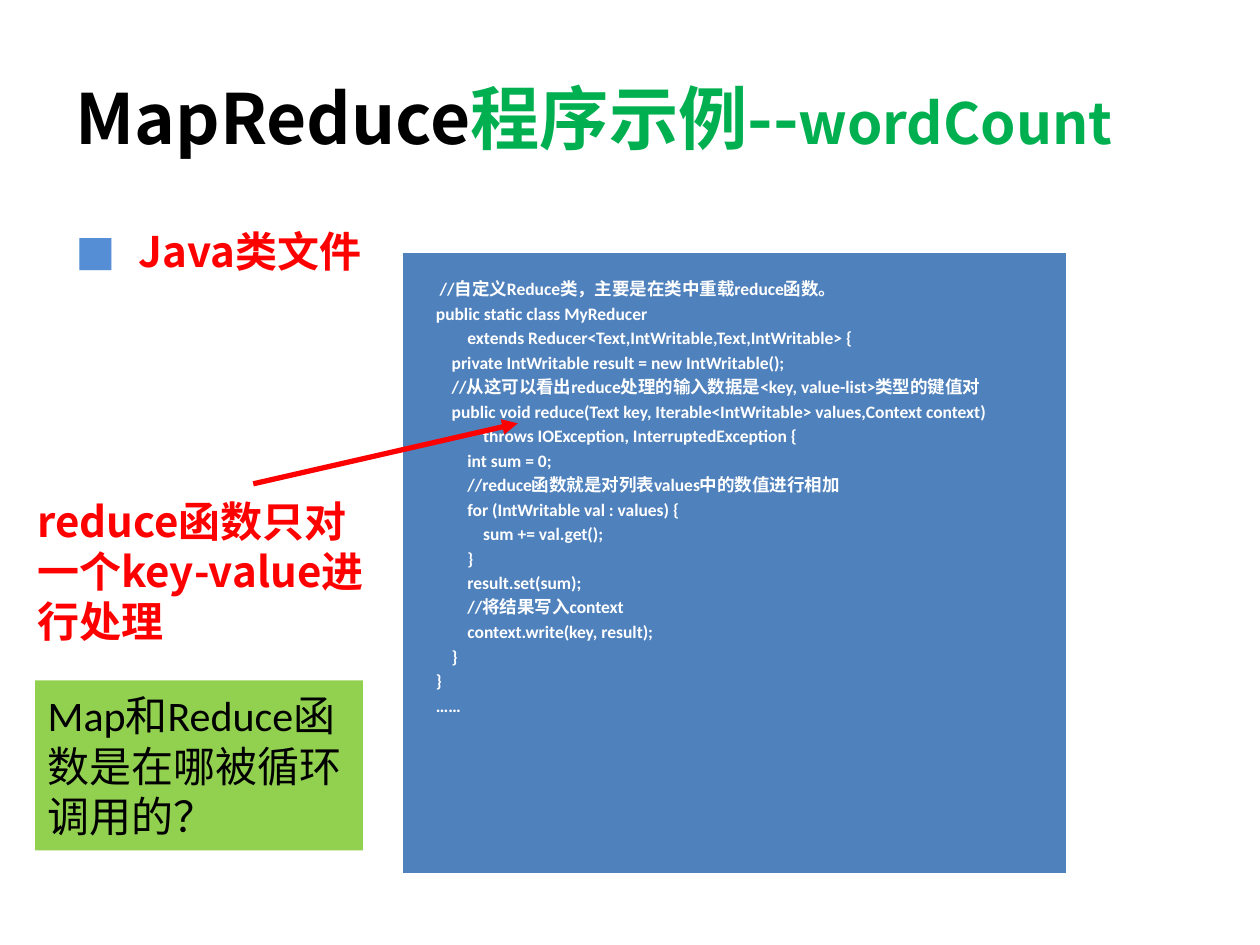
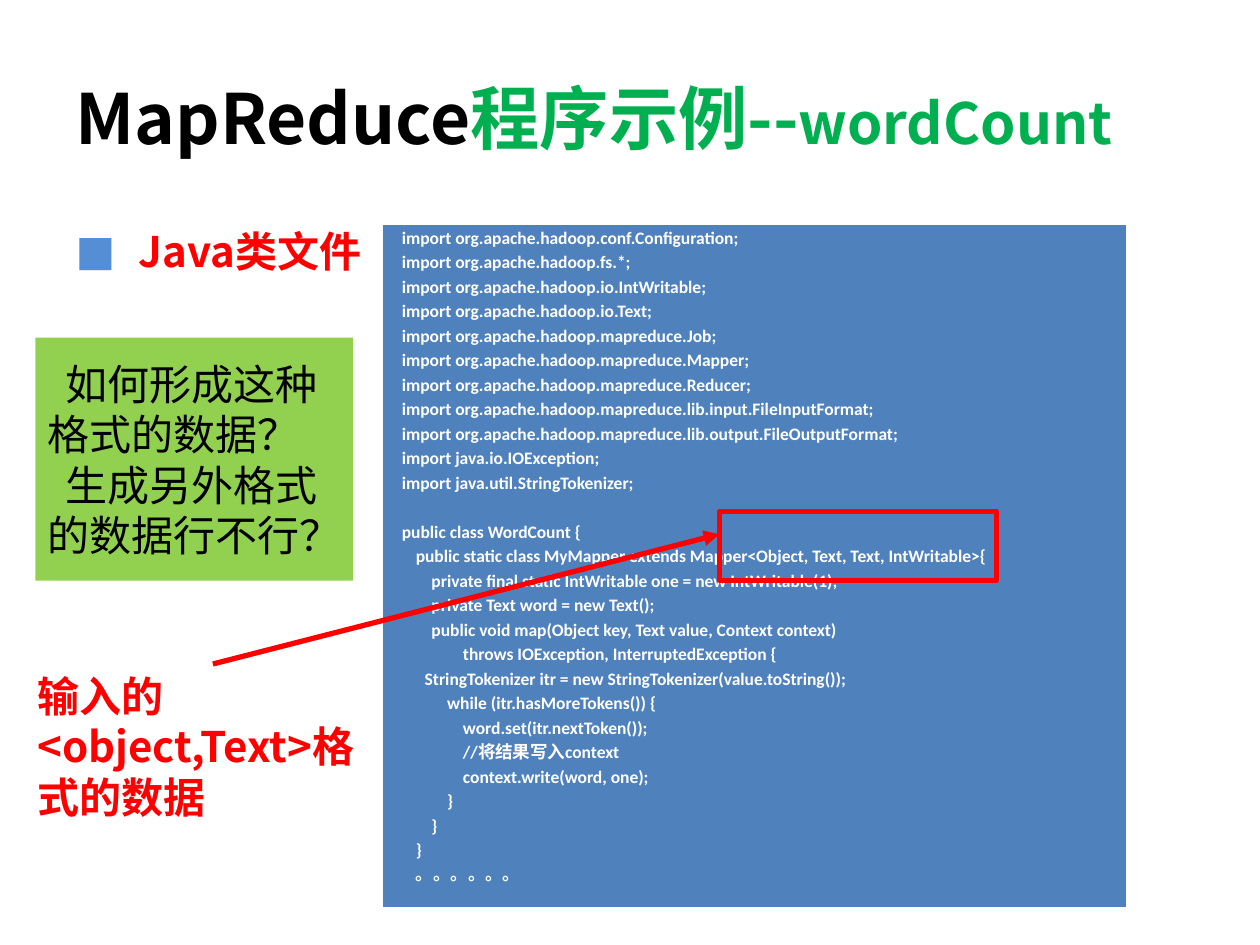
from pptx import Presentation
from pptx.dml.color import RGBColor
from pptx.enum.shapes import MSO_CONNECTOR, MSO_SHAPE
from pptx.enum.text import MSO_ANCHOR, MSO_AUTO_SIZE, PP_ALIGN
from pptx.oxml.ns import qn
from pptx.util import Inches, Pt
from lxml.etree import SubElement

COLORS = dict(black="000000", white="FFFFFF", green="00B050", red="FF0000",
              code="4F81BD", question="92D050", bullet="558ED5")
CJK, LATIN = "Noto Sans CJK SC", "Calibri"

# Content shared by both slides
TITLE = [("MapReduce", 39.6, "black"), ("程序示例--", 39.6, "green"),
         ("wordCount", 32.4, "green")]
TOPIC = "Java类文件"

# Code blocks: (left margin, first-line indent, space before in points, lines)
REDUCER = [
    (0, 0.28, 0, "//自定义Reduce类，主要是在类中重载reduce函数。"),
    (0, 0.25, 0, """public static class MyReducer
        extends Reducer<Text,IntWritable,Text,IntWritable> {
    private IntWritable result = new IntWritable();
    //从这可以看出reduce处理的输入数据是<key, value-list>类型的键值对
    public void reduce(Text key, Iterable<IntWritable> values,Context context)
            throws IOException, InterruptedException {
        int sum = 0;
        //reduce函数就是对列表values中的数值进行相加
        for (IntWritable val : values) {
            sum += val.get();
        }
        result.set(sum);
        //将结果写入context
        context.write(key, result);
    }
}
……"""),
]
MAPPER = [
    (0, 0.14, 0, """import org.apache.hadoop.conf.Configuration;
import org.apache.hadoop.fs.*;
import org.apache.hadoop.io.IntWritable;
import org.apache.hadoop.io.Text;
import org.apache.hadoop.mapreduce.Job;
import org.apache.hadoop.mapreduce.Mapper;
import org.apache.hadoop.mapreduce.Reducer;
import org.apache.hadoop.mapreduce.lib.input.FileInputFormat;
import org.apache.hadoop.mapreduce.lib.output.FileOutputFormat;
import java.io.IOException;
import java.util.StringTokenizer;"""),
    (0, 0.14, 14, "public class WordCount {"),
    (0, 0.25, 0, """public static class MyMapper extends Mapper<Object, Text, Text, IntWritable>{
    private final static IntWritable one = new IntWritable(1);
    private Text word = new Text();
    public void map(Object key, Text value, Context context)
            throws IOException, InterruptedException {"""),
    (0.79, -0.5, 0, " StringTokenizer itr = new StringTokenizer(value.toString());"),
    (0, 0.25, 0, """        while (itr.hasMoreTokens()) {
            word.set(itr.nextToken());
            //将结果写入context
            context.write(word, one);
        }
    }
}
。。。。。。"""),
]

SLIDES = [
    dict(code=REDUCER, code_at=(3.19, 2, 5.28, 4.95), code_top=0.19, frame_at=None,
         note="reduce函数只对一个key-value进行处理", note_at=(0.2, 3.88, 2.91, 1.31),
         arrow=(2.01, 3.84, 4.11, 3.36),
         question=["Map和Reduce函数是在哪被循环调用的？"],
         question_at=(0.28, 5.4, 2.6, 1.35), question_indent=0),
    dict(code=MAPPER, code_at=(3.03, 1.78, 5.91, 5.44), code_top=0,
         frame_at=(5.71, 4.06, 2.2, 0.55),
         note="输入的<object,Text>格式的数据", note_at=(0.2, 5.27, 2.76, 1.31),
         arrow=(1.69, 5.27, 5.71, 4.24),
         question=["如何形成这种格式的数据？", "生成另外格式的数据行不行？"],
         question_at=(0.28, 2.68, 2.52, 1.93), question_indent=0.14),
]


def rgb(name):
    return RGBColor.from_string(COLORS[name])


def box(at):
    return [Inches(v) for v in at]


def add_run(p, text, size, color, font=CJK, bold=True):
    r = p.add_run()
    r.text = text
    r.font.size, r.font.bold, r.font.name = Pt(size), bold, font
    r.font.color.rgb = rgb(color)
    SubElement(r.font._element, qn("a:ea")).set("typeface", CJK)


def add_paragraph(tf, first):
    return tf.paragraphs[0] if first else tf.add_paragraph()


def set_indent(p, left, first):
    pPr = p._p.get_or_add_pPr()
    pPr.set("marL", str(Inches(left)))
    pPr.set("indent", str(Inches(first)))
    return pPr


def place(sp, at):
    sp.left, sp.top, sp.width, sp.height = box(at)
    sp.text_frame.auto_size = MSO_AUTO_SIZE.NONE


def add_title(s):
    sp = s.shapes.title
    place(sp, (0.5, 0.3, 9.22, 1.25))
    sp.text_frame.vertical_anchor = MSO_ANCHOR.MIDDLE
    p = sp.text_frame.paragraphs[0]
    p.alignment = PP_ALIGN.LEFT
    for text, size, color in TITLE:
        add_run(p, text, size, color)


def add_topic(s):
    sp = s.placeholders[1]
    place(sp, (0.5, 1.74, 8.44, 0.5))
    p = sp.text_frame.paragraphs[0]
    p.space_before = Pt(0)
    pPr = set_indent(p, 0.5, -0.5)
    color = SubElement(pPr, qn("a:buClr"))
    SubElement(color, qn("a:srgbClr")).set("val", COLORS["bullet"])
    SubElement(pPr, qn("a:buFont")).set("typeface", LATIN)
    SubElement(pPr, qn("a:buChar")).set("char", "■")
    add_run(p, TOPIC, 24, "red")


def add_borders(cell):
    tcPr = cell._tc.get_or_add_tcPr()
    for tag, width in (("lnL", 1), ("lnR", 1), ("lnT", 1), ("lnB", 3)):
        ln = SubElement(tcPr, qn("a:" + tag))
        ln.set("w", str(Pt(width)))
        fill = SubElement(ln, qn("a:solidFill"))
        SubElement(fill, qn("a:srgbClr")).set("val", COLORS["white"])


def add_code(s, blocks, at, top):
    table = s.shapes.add_table(1, 1, *box(at)).table
    table.first_row = table.horz_banding = False
    cell = table.cell(0, 0)
    add_borders(cell)
    cell.fill.solid()
    cell.fill.fore_color.rgb = rgb("code")
    cell.margin_left = cell.margin_right = Inches(0.02)
    cell.margin_top, cell.margin_bottom = Inches(top), 0
    lines = [(left, first, before, line) for left, first, before, text in blocks
             for line in text.split("\n")]
    for i, (left, first, before, line) in enumerate(lines):
        p = add_paragraph(cell.text_frame, i == 0)
        p.alignment, p.line_spacing = PP_ALIGN.JUSTIFY, Pt(14)
        if before:
            p.space_before = Pt(before)
        set_indent(p, left, first)
        add_run(p, line, 10, "white", LATIN)


def add_frame(s, at):
    sp = s.shapes.add_shape(MSO_SHAPE.RECTANGLE, *box(at))
    sp.shadow.inherit = False
    sp.fill.background()
    sp.line.color.rgb, sp.line.width = rgb("red"), Pt(3)


def add_note(s, text, at):
    tf = s.shapes.add_textbox(*box(at)).text_frame
    tf.word_wrap = True
    add_run(tf.paragraphs[0], text, 24, "red")


def add_arrow(s, ends):
    line = s.shapes.add_connector(MSO_CONNECTOR.STRAIGHT, *box(ends))
    line.line.color.rgb, line.line.width = rgb("red"), Pt(3)
    SubElement(line.line._get_or_add_ln(), qn("a:tailEnd")).set("type", "triangle")
    SubElement(line._element.spPr, qn("a:effectLst"))


def add_question(s, texts, at, indent):
    sp = s.shapes.add_shape(MSO_SHAPE.RECTANGLE, *box(at))
    sp.shadow.inherit = False
    sp.fill.solid()
    sp.fill.fore_color.rgb = rgb("question")
    sp.line.fill.background()
    tf = sp.text_frame
    tf.word_wrap, tf.vertical_anchor = True, MSO_ANCHOR.MIDDLE
    for i, text in enumerate(texts):
        p = add_paragraph(tf, i == 0)
        p.alignment = PP_ALIGN.LEFT
        set_indent(p, 0, indent)
        add_run(p, text, 24, "black", LATIN, bold=False)


def main():
    prs = Presentation()
    prs.slide_width, prs.slide_height = Inches(10), Inches(7.5)
    for d in SLIDES:
        s = prs.slides.add_slide(prs.slide_layouts[1])
        add_title(s)
        add_topic(s)
        add_code(s, d["code"], d["code_at"], d["code_top"])
        if d["frame_at"]:
            add_frame(s, d["frame_at"])
        add_note(s, d["note"], d["note_at"])
        add_arrow(s, d["arrow"])
        add_question(s, d["question"], d["question_at"], d["question_indent"])
    prs.save("out.pptx")


if __name__ == "__main__":
    main()
